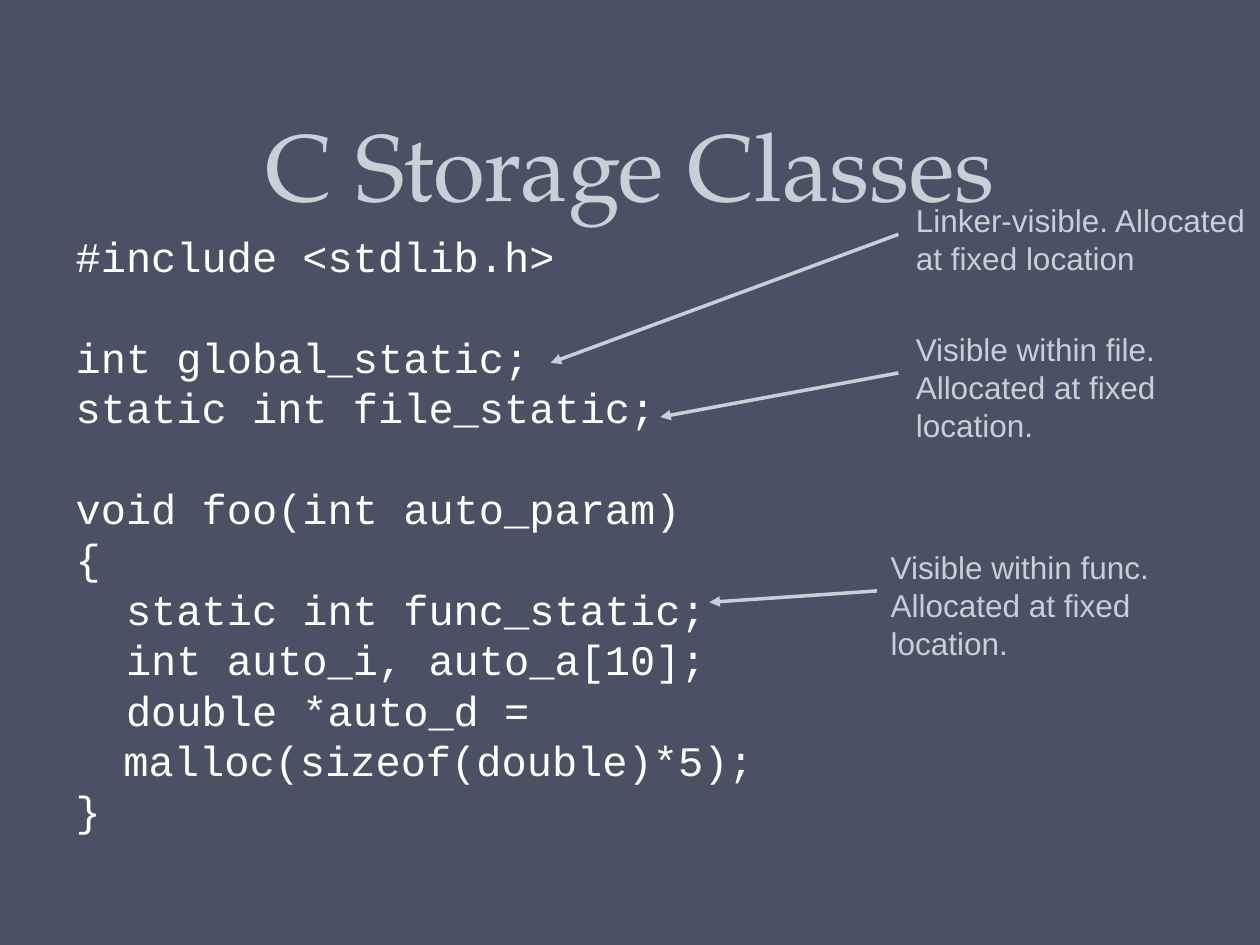
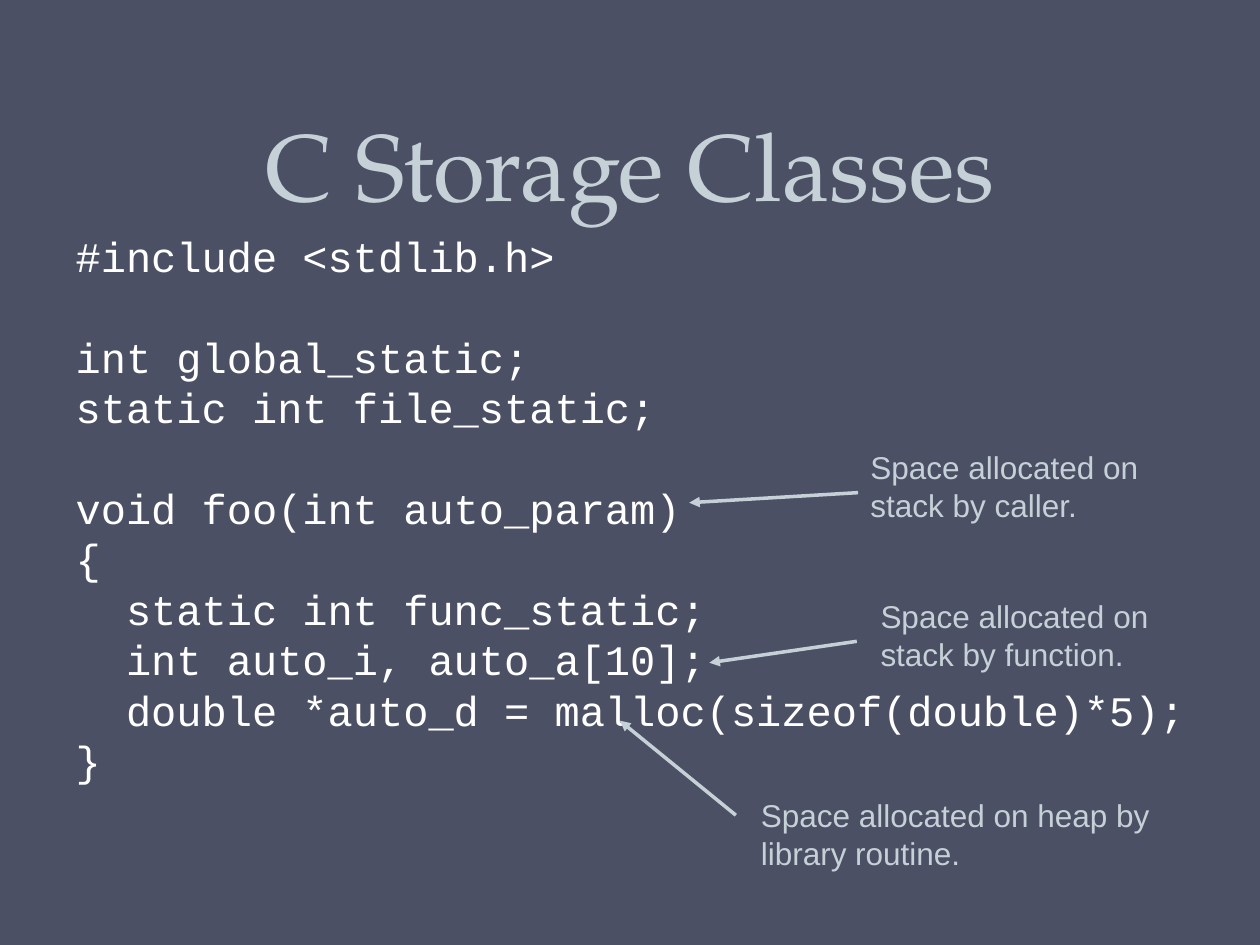
from dataclasses import dataclass

from lxml.etree import SubElement
from pptx import Presentation
from pptx.dml.color import RGBColor
from pptx.enum.shapes import MSO_CONNECTOR as Connector
from pptx.enum.text import MSO_ANCHOR as Anchor, MSO_AUTO_SIZE as AutoSize, PP_ALIGN as Align
from pptx.oxml.ns import qn
from pptx.util import Inches, Pt


@dataclass(frozen=True)
class Theme:
    background: RGBColor = RGBColor(0x4B, 0x50, 0x64)
    accent: RGBColor = RGBColor(0xC5, 0xD1, 0xD7)
    code: RGBColor = RGBColor(0xFF, 0xFF, 0xFF)
    title_font: str = "TeX Gyre Pagella"
    code_font: str = "Courier New"
    note_font: str = "Arial"
    title_size: float = 54
    title_leading: float = 58
    code_size: float = 24
    code_leading: float = 28.8
    note_size: float = 18
    note_leading: float = 21.6
    arrow_width: float = 2


THEME = Theme()
HANGING = 0.38
CODE_INDENT = 0.4

CODE_BLOCKS = [
    [(0, "#include <stdlib.h>")],
    [(0, "int global_static;"), (0, "static int file_static;")],
    [
        (0, "void foo(int auto_param)"),
        (0, "{"),
        (1, "static int func_static;"),
        (1, "int auto_i, auto_a[10];"),
        (1, "double *auto_d = malloc(sizeof(double)*5);"),
        (0, "}"),
    ],
]

STATIC_NOTES = [
    ("Linker-visible. Allocated at fixed location",
     (7.17, 1.55, 2.83, 1.03), (7.13, 1.86), (4.37, 2.88)),
    ("Visible within file. Allocated at fixed location.",
     (7.17, 2.57, 2.83, 1.03), (7.13, 2.96), (5.24, 3.31)),
    ("Visible within func. Allocated at fixed location.",
     (6.97, 4.3, 2.83, 1.03), (6.96, 4.69), (5.63, 4.78)),
]

DYNAMIC_NOTES = [
    ("Space allocated on stack by function.",
     (6.89, 4.69, 2.83, 0.72), (6.8, 5.09), (5.63, 5.26)),
    ("Space allocated on stack by caller.",
     (6.81, 3.51, 2.83, 0.72), (6.81, 3.91), (5.47, 3.99)),
    ("Space allocated on heap by library routine.",
     (5.94, 6.27, 3.33, 0.72), (5.84, 6.47), (4.92, 5.72)),
]


def write(paragraph, text, *, font, size, color, leading, align=Align.LEFT, before=0):
    run = paragraph.add_run()
    run.text = text
    run.font.name = font
    run.font.size = Pt(size)
    run.font.color.rgb = color
    paragraph.alignment = align
    paragraph.line_spacing = Pt(leading)
    paragraph.space_before = Pt(before)
    paragraph.space_after = Pt(0)


def place(shape, box):
    shape.left, shape.top, shape.width, shape.height = map(Inches, box)


def add_title(slide, text, box):
    title = slide.shapes.title
    place(title, box)
    frame = title.text_frame
    frame.auto_size = AutoSize.NONE
    frame.vertical_anchor = Anchor.BOTTOM
    frame.margin_bottom = 0
    write(frame.paragraphs[0], text, font=THEME.title_font, size=THEME.title_size,
          color=THEME.accent, leading=THEME.title_leading, align=Align.CENTER)


def indent_code(paragraph, level):
    properties = paragraph._p.get_or_add_pPr()
    properties.set("marL", str(Inches(HANGING)))
    properties.set("indent", str(Inches(level * CODE_INDENT - HANGING)))
    SubElement(properties, qn("a:buNone"))


def add_code(slide, blocks, box):
    body = slide.placeholders[1]
    place(body, box)
    frame = body.text_frame
    frame.auto_size = AutoSize.NONE
    frame.margin_top = Inches(0.08)
    frame.margin_right = Inches(0.15)
    paragraph = frame.paragraphs[0]
    for block_index, block in enumerate(blocks):
        for line_index, (level, text) in enumerate(block):
            starts_block = line_index == 0 and block_index > 0
            if block_index or line_index:
                paragraph = frame.add_paragraph()
            write(paragraph, text, font=THEME.code_font, size=THEME.code_size,
                  color=THEME.code, leading=THEME.code_leading,
                  before=THEME.code_leading if starts_block else 0)
            indent_code(paragraph, level)


def add_arrow(slide, start, end):
    arrow = slide.shapes.add_connector(Connector.STRAIGHT, *map(Inches, start + end))
    arrow.line.color.rgb = THEME.accent
    arrow.line.width = Pt(THEME.arrow_width)
    properties = arrow._element.spPr
    SubElement(properties.find(qn("a:ln")), qn("a:tailEnd"), type="triangle")
    SubElement(properties, qn("a:effectLst"))


def add_note(slide, text, box, start, end):
    add_arrow(slide, start, end)
    frame = slide.shapes.add_textbox(*map(Inches, box)).text_frame
    frame.word_wrap = True
    frame.auto_size = AutoSize.SHAPE_TO_FIT_TEXT
    write(frame.paragraphs[0], text, font=THEME.note_font, size=THEME.note_size,
          color=THEME.accent, leading=THEME.note_leading)


def add_code_slide(presentation, code_width, notes):
    slide = presentation.slides.add_slide(presentation.slide_layouts[1])
    add_title(slide, "C Storage Classes", (0.5, 0, 9, 1.75))
    add_code(slide, CODE_BLOCKS, (0.5, 1.75, code_width, 4.95))
    for note in notes:
        add_note(slide, *note)


def main():
    presentation = Presentation()
    presentation.slide_width = Inches(10)
    presentation.slide_height = Inches(7.5)
    fill = presentation.slide_master.background.fill
    fill.solid()
    fill.fore_color.rgb = THEME.background
    add_code_slide(presentation, 9, STATIC_NOTES)
    add_code_slide(presentation, 9.38, DYNAMIC_NOTES)
    presentation.save("out.pptx")


main()
